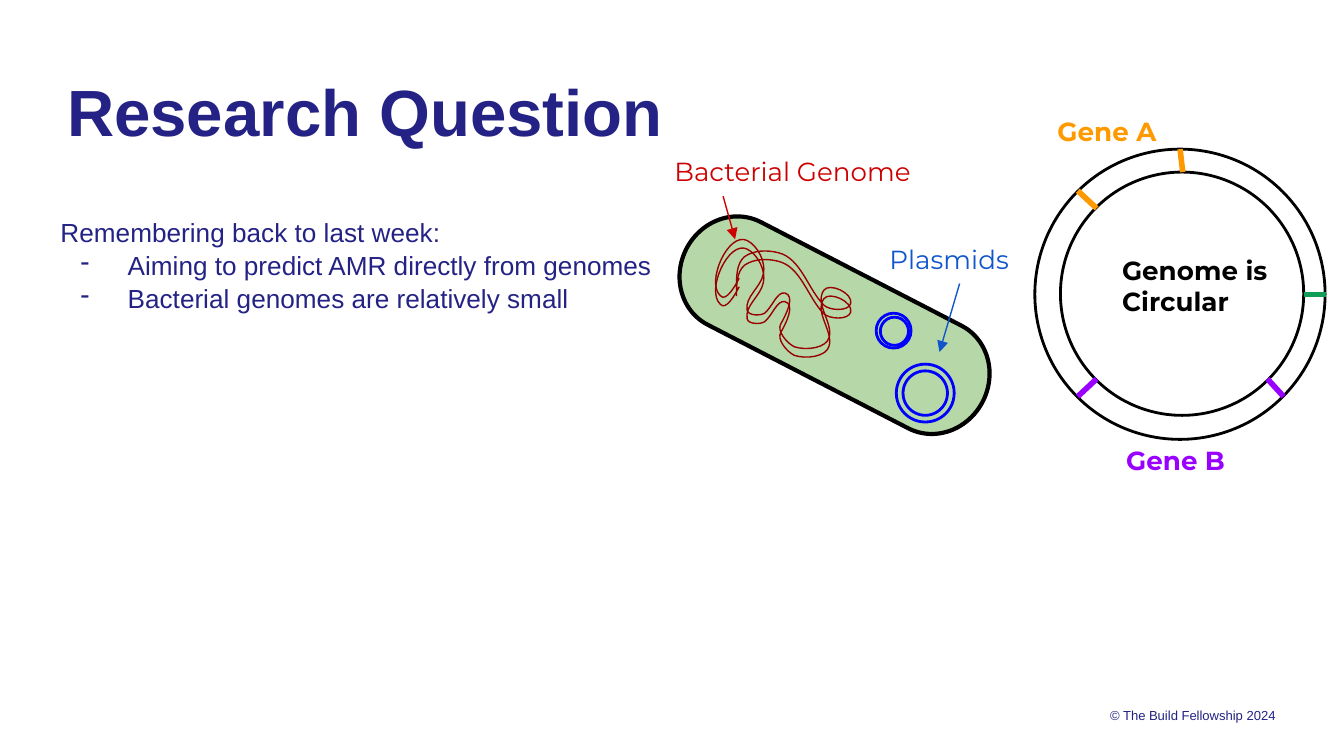
"""Build the research question slide with its bacterium and circular genome."""
import pptx
import pptx.dml.color
import pptx.enum.shapes
import pptx.enum.text
import pptx.oxml
import pptx.oxml.ns
import pptx.util

Pt = pptx.util.Pt
Kind = pptx.enum.shapes.MSO_SHAPE
Align = pptx.enum.text.PP_ALIGN
Anchor = pptx.enum.text.MSO_ANCHOR
qn = pptx.oxml.ns.qn
NS = pptx.oxml.ns.nsdecls("a")

INK = {
    "navy": "242385", "black": "000000", "cell": "B6D7A8", "ring": "0000FF",
    "strand": "990000", "red": "CC0000", "blue": "1155CC",
    "orange": "FF9900", "green": "0F9D58", "purple": "9900FF",
}
STRAND = [
    (548, 214),
    (548, 206), (548, 196), (554, 191), (561, 186), (571, 186), (579, 188),
    (596, 192), (601, 215), (613, 227), (617, 231), (631, 232), (633, 226),
    (635, 218), (617, 210), (613, 216), (606, 226), (620, 240), (617, 251),
    (615, 259), (600, 261), (591, 258), (585, 255), (578, 246), (581, 241),
    (585, 234), (592, 220), (584, 218), (578, 217), (575, 228), (569, 233),
    (566, 235), (557, 235), (556, 231), (554, 221), (566, 214), (568, 204),
    (570, 195), (564, 183), (556, 179), (542, 172), (525, 210), (536, 220),
    (540, 225), (547, 213), (550, 207),
]
RINGS = [
    (480.2, 195.1, 31, "ring"), (483.8, 198.7, 23.8, "ring"),
    (469.4, 167.8, 18.7, "ring"), (471.6, 169.9, 15.1, "ring"),
    (554.4, 79.9, 155.5, "black"), (568.1, 92.2, 130.3, "black"),
]
ARROWS = [
    ((387.4, 105.1, 393.8, 128.2), "red"),
    ((514.1, 151.9, 503.3, 188.6), "blue"),
]
GENES = [
    ((577.4, 102.2, 587.5, 111.6), "orange"),
    ((632.2, 79.9, 633.6, 92.2), "orange"),
    ((698.4, 157.7, 710.6, 157.7), "green"),
    ((679, 203, 687.6, 212.4), "purple"),
    ((577.4, 212.4, 587.5, 203), "purple"),
]
LABELS = [
    ("Bacterial Genome", (354.2, 76.3, 146.9, 40.3), "red", False),
    ("Plasmids", (469.4, 123.1, 85, 40.3), "blue", False),
    ("Genome is Circular", (594, 128.9, 92.2, 50.4), "black", True),
    ("Gene A", (559.4, 54.7, 92.2, 50.4), "orange", True),
    ("Gene B", (596.2, 231.1, 92.2, 50.4), "purple", True),
]


def tint(hue):
    """Return the named colour."""
    return pptx.dml.color.RGBColor.from_string(INK[hue])


def style(obj, values):
    """Set each attribute from a dict."""
    for key, value in values.items():
        setattr(obj, key, value)


def edge(item, hue, width):
    """Give an item a solid line."""
    item.line.color.rgb = tint(hue)
    item.line.width = Pt(width)


def dash(para, hue):
    """Give a paragraph a hanging dash."""
    props = para._p.get_or_add_pPr()
    props.set("marL", str(Pt(36)))
    props.set("indent", str(Pt(-25.2)))
    for xml in (f'<a:buClr {NS}><a:srgbClr val="{INK[hue]}"/></a:buClr>',
                f'<a:buChar {NS} char="-"/>'):
        props.append(pptx.oxml.parse_xml(xml))


def text(slide, lines, box, hue, font, inset=0, anchor=Anchor.TOP,
         para=None, dashed=False):
    """Add a text box, with dashes after its first line if wanted."""
    frame = slide.shapes.add_textbox(*map(Pt, box)).text_frame
    sides = ("left", "top", "right", "bottom")
    style(frame, {"word_wrap": True, "vertical_anchor": anchor})
    style(frame, {f"margin_{side}": Pt(inset) for side in sides})
    frame.text = "\n".join(lines)
    for place, row in enumerate(frame.paragraphs):
        if dashed and place:
            dash(row, hue)
        style(row, para or {})
        style(row.font, font)
        row.font.color.rgb = tint(hue)
        style(row.runs[0].font, font)
        row.runs[0].font.color.rgb = tint(hue)


def shape(slide, kind, box, hue, width):
    """Add an unfilled, outlined preset shape."""
    item = slide.shapes.add_shape(kind, *map(Pt, box))
    item.shadow.inherit = False
    item.fill.background()
    edge(item, hue, width)
    return item


def line(slide, ends, hue, width, arrow=False):
    """Add a straight line, with an arrowhead if wanted."""
    kind = pptx.enum.shapes.MSO_CONNECTOR.STRAIGHT
    item = slide.shapes.add_connector(kind, *map(Pt, ends))
    edge(item, hue, width)
    props = item._element.spPr
    if arrow:
        props.find(qn("a:ln")).append(
            pptx.oxml.parse_xml(f'<a:tailEnd {NS} type="triangle"/>'))
    props.append(pptx.oxml.parse_xml(f"<a:effectLst {NS}/>"))


def curve(slide, points, drop, hue, width):
    """Add an open outline of cubic curves, moved down by drop."""
    pen = slide.shapes.build_freeform(*points[0], scale=Pt(0.72))
    pen.add_line_segments(points[1:], close=False)
    item = pen.convert_to_shape(0, Pt(drop))
    steps = list(item._element.iter(qn("a:lnTo")))
    for trio in zip(steps[::3], steps[1::3], steps[2::3]):
        bend = pptx.oxml.parse_xml(f"<a:cubicBezTo {NS}/>")
        trio[0].addprevious(bend)
        for step in trio:
            bend.append(step[0])
            step.getparent().remove(step)
    item.shadow.inherit = False
    item.fill.background()
    edge(item, hue, width)


def main():
    """Draw the slide and save it."""
    deck = pptx.Presentation()
    style(deck, {"slide_width": Pt(720), "slide_height": Pt(405)})
    slide = deck.slides.add_slide(deck.slide_layouts[6])

    text(slide, ["© The Build Fellowship 2024"], (36, 377.3, 647.3, 11.5),
         "navy", {"name": "Arial", "size": Pt(7)}, anchor=Anchor.MIDDLE,
         para={"alignment": Align.RIGHT})
    text(slide, ["Research Question"], (36, 38, 465.8, 79.4), "navy",
         {"name": "Arial", "size": Pt(35), "bold": True})
    text(slide, ["Remembering back to last week:",
                 "Aiming to predict AMR directly from genomes",
                 "Bacterial genomes are relatively small"],
         (32.4, 115.2, 327.6, 98.6), "navy",
         {"name": "Arial", "size": Pt(14)}, para={"line_spacing": 1.05},
         dashed=True)

    cell = shape(slide, Kind.FLOWCHART_TERMINATOR,
                 (357.8, 143.3, 178.6, 61.9), "black", 2.25)
    cell.rotation = 27.3
    cell.fill.solid()
    cell.fill.fore_color.rgb = tint("cell")
    for left, top, size, hue in RINGS:
        shape(slide, Kind.OVAL, (left, top, size, size), hue, 1.5)
    for drop in (0, 4.6):
        curve(slide, STRAND, drop, "strand", 0.75)
    for ends, hue in ARROWS:
        line(slide, ends, hue, 0.75, arrow=True)
    for ends, hue in GENES:
        line(slide, ends, hue, 3)
    for words, box, hue, bold in LABELS:
        text(slide, [words], box, hue,
             {"name": "Montserrat", "size": Pt(14), "bold": bold}, inset=7.2)
    deck.save("out.pptx")


if __name__ == "__main__":
    main()
